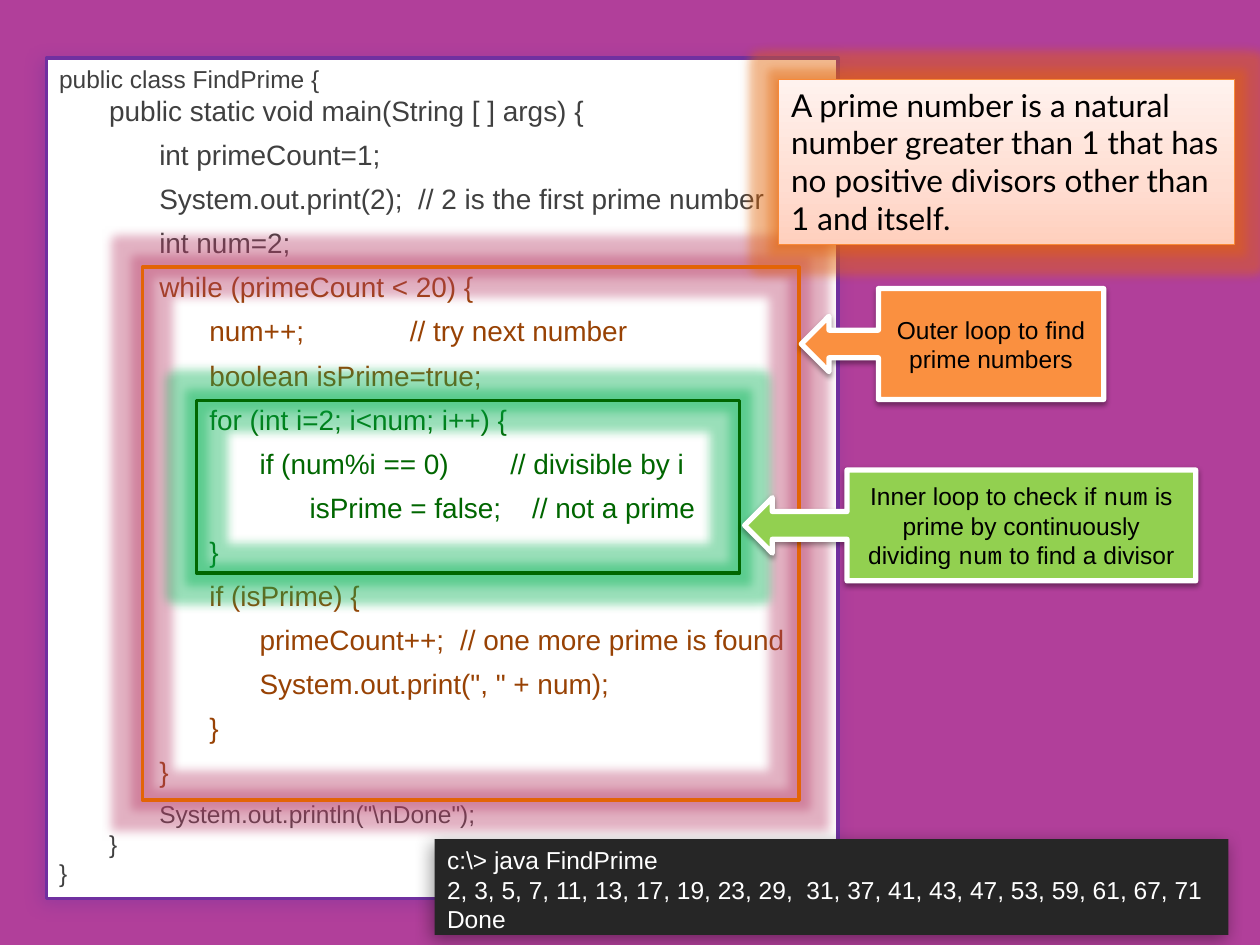
"""Build a slide explaining a prime-finding program with nested loops."""
from dataclasses import dataclass
from typing import Optional

from lxml.etree import SubElement
from pptx import Presentation
from pptx.dml.color import RGBColor
from pptx.enum.shapes import MSO_SHAPE
from pptx.enum.text import MSO_ANCHOR, MSO_AUTO_SIZE, PP_ALIGN
from pptx.oxml.ns import qn
from pptx.util import Inches, Pt


@dataclass
class Shadow:
    color: str
    opacity: int
    blur: float
    distance: float
    angle: int


@dataclass
class Panel:
    left: float
    top: float
    width: float
    height: float
    fill: Optional[str] = None
    line: Optional[str] = None
    line_width: float = 0
    shadow: Optional[Shadow] = None
    glow: Optional[str] = None
    shape: MSO_SHAPE = MSO_SHAPE.RECTANGLE


@dataclass
class Span:
    text: str
    font: str = "Arial"


@dataclass
class Callout:
    panel: Panel
    body_share: float
    spans: list[Span]


@dataclass
class CodeBlock:
    color: str
    size: int
    space_after: int
    lines: list[str]


GRAY, BROWN, GREEN, ORANGE = "404040", "984204", "006600", "E36406"
TAB_WIDTH = 28.65
TAB_COUNT = 12
CALLOUT_SHADOW = Shadow("000000", 38, 3.1, 1.6, 90)

CODE_PANEL = Panel(0.37, 0.46, 6.28, 6.67, "FFFFFF", "7030A0", 2, Shadow("7030A0", 40, 10, 3, 135))
OUTER_FRAME = Panel(1.13, 2.12, 5.21, 4.23, line=ORANGE, line_width=2, glow="B83D68")
DEFINITION = Panel(6.18, 0.63, 3.62, 1.31, "FFDDD1", "F98937", 0.75, Shadow(ORANGE, 38, 3.1, 1.6, 135), ORANGE)
INNER_FRAME = Panel(1.56, 3.18, 4.31, 1.37, line=GREEN, line_width=2, glow="00B050")
CONSOLE = Panel(3.45, 6.66, 6.3, 0.76, "262626", shadow=Shadow("000000", 40, 10, 3, 135))

CODE = [
    CodeBlock(GRAY, 14, 0, ["public class FindPrime {"]),
    CodeBlock(GRAY, 16, 6, [
        "\tpublic static void main(String [ ] args) {",
        "\t\tint primeCount=1;",
        "\t\tSystem.out.print(2);  // 2 is the first prime number",
        "\t\tint num=2;",
    ]),
    CodeBlock(BROWN, 16, 6, [
        "\t\twhile (primeCount < 20) {",
        "\t\t\tnum++;\t\t\t// try next number",
        "\t\t\tboolean isPrime=true;",
    ]),
    CodeBlock(GREEN, 16, 6, [
        "\t\t\tfor (int i=2; i<num; i++) {",
        "\t\t\t\tif (num%i == 0)   \t// divisible by i",
        "\t\t\t\t\tisPrime = false;    // not a prime",
        "\t\t\t}",
    ]),
    CodeBlock(BROWN, 16, 6, [
        "\t\t\tif (isPrime) {",
        "\t\t\t\tprimeCount++;\t// one more prime is found",
        '\t\t\t\tSystem.out.print(", " + num);',
        "\t\t\t}",
        "\t\t}",
    ]),
    CodeBlock(GRAY, 14, 0, ['\t\tSystem.out.println("\\nDone");', "\t}", "}"]),
]

CALLOUTS = [
    Callout(
        Panel(6.36, 2.29, 2.4, 0.88, "FA9040", "FFFFFF", 3, CALLOUT_SHADOW, shape=MSO_SHAPE.LEFT_ARROW_CALLOUT),
        0.745,
        [Span("Outer loop to find prime numbers")],
    ),
    Callout(
        Panel(5.91, 3.73, 3.58, 0.88, "92D050", "FFFFFF", 3, CALLOUT_SHADOW, shape=MSO_SHAPE.LEFT_ARROW_CALLOUT),
        0.773,
        [
            Span("Inner loop to check if "),
            Span("num", "Courier New"),
            Span(" is prime by continuously dividing "),
            Span("num", "Courier New"),
            Span(" to find a divisor"),
        ],
    ),
]


def rgb(color: str) -> RGBColor:
    return RGBColor.from_string(color)


def add_color(parent, color: str, opacity: int = 100) -> None:
    element = SubElement(parent, qn("a:srgbClr"), val=color)
    if opacity < 100:
        SubElement(element, qn("a:alpha"), val=str(opacity * 1000))


def add_panel(page, panel: Panel):
    box = page.shapes.add_shape(
        panel.shape, Inches(panel.left), Inches(panel.top), Inches(panel.width), Inches(panel.height)
    )
    box.shadow.inherit = False
    if panel.fill:
        box.fill.solid()
        box.fill.fore_color.rgb = rgb(panel.fill)
    else:
        box.fill.background()
    if panel.line:
        box.line.color.rgb = rgb(panel.line)
        box.line.width = Pt(panel.line_width)
    else:
        box.line.fill.background()
    effects = box._element.spPr.find(qn("a:effectLst"))
    if panel.glow:
        glow = SubElement(effects, qn("a:glow"), rad=str(Pt(11)))
        add_color(glow, panel.glow, 40)
    if panel.shadow:
        shade = panel.shadow
        outer = SubElement(
            effects, qn("a:outerShdw"), blurRad=str(Pt(shade.blur)), dist=str(Pt(shade.distance)),
            dir=str(shade.angle * 60000), rotWithShape="0",
        )
        add_color(outer, shade.color, shade.opacity)
    return box


def style(span, font: str, size: int, color: str) -> None:
    span.font.name = font
    span.font.size = Pt(size)
    span.font.color.rgb = rgb(color)


def write(box, text: str, font: str, size: int, color: str) -> None:
    box.text_frame.text = text
    box.text_frame.vertical_anchor = MSO_ANCHOR.TOP
    for para in box.text_frame.paragraphs:
        para.alignment = PP_ALIGN.LEFT
        for span in para.runs:
            style(span, font, size, color)


def add_code(page) -> None:
    box = add_panel(page, CODE_PANEL)
    rows = [(line, block) for block in CODE for line in block.lines]
    write(box, "\n".join(line for line, _ in rows), "Arial", 16, GRAY)
    for para, (_, block) in zip(box.text_frame.paragraphs, rows):
        para.space_after = Pt(block.space_after)
        stops = SubElement(para._p.get_or_add_pPr(), qn("a:tabLst"))
        for number in range(1, TAB_COUNT + 1):
            SubElement(stops, qn("a:tab"), pos=str(Pt(TAB_WIDTH * number)), algn="l")
        style(para.runs[0], "Arial", block.size, block.color)


def add_definition(page) -> None:
    box = add_panel(page, DEFINITION)
    box.fill.gradient()
    box.fill.gradient_angle = 90
    stops = box._element.spPr.find(qn("a:gradFill")).find(qn("a:gsLst"))
    stops.clear()
    for position, color in ((0, "FFCFBD"), (35, "FFDDD1"), (100, "FFF2EE")):
        add_color(SubElement(stops, qn("a:gs"), pos=str(position * 1000)), color)
    write(
        box,
        "A\u00a0prime number\u00a0is a\u00a0natural number\u00a0greater than 1 that has "
        "no positive\u00a0divisors\u00a0other than 1 and itself.",
        "Lato", 18, "000000",
    )
    box.text_frame.auto_size = MSO_AUTO_SIZE.SHAPE_TO_FIT_TEXT


def add_callout(page, callout: Callout) -> None:
    box = add_panel(page, callout.panel)
    for index, value in enumerate((0.25, 0.25, 0.25, callout.body_share)):
        box.adjustments[index] = value
    box.text_frame.vertical_anchor = MSO_ANCHOR.MIDDLE
    para = box.text_frame.paragraphs[0]
    para.alignment = PP_ALIGN.CENTER
    for part in callout.spans:
        span = para.add_run()
        span.text = part.text
        style(span, part.font, 14, "000000")


def add_console(page) -> None:
    box = add_panel(page, CONSOLE)
    primes = "2, 3, 5, 7, 11, 13, 17, 19, 23, 29,  31, 37, 41, 43, 47, 53, 59, 61, 67, 71"
    write(box, f"c:\\> java FindPrime\n{primes}\nDone", "Arial", 14, "FFFFFF")
    box.text_frame.word_wrap = False


deck = Presentation()
deck.slide_width, deck.slide_height = Inches(10), Inches(7.5)
page = deck.slides.add_slide(deck.slide_layouts[6])
page.background.fill.solid()
page.background.fill.fore_color.rgb = rgb("B13F9A")
add_code(page)
add_panel(page, OUTER_FRAME)
add_definition(page)
add_panel(page, INNER_FRAME)
for callout in CALLOUTS:
    add_callout(page, callout)
add_console(page)
deck.save("out.pptx")
